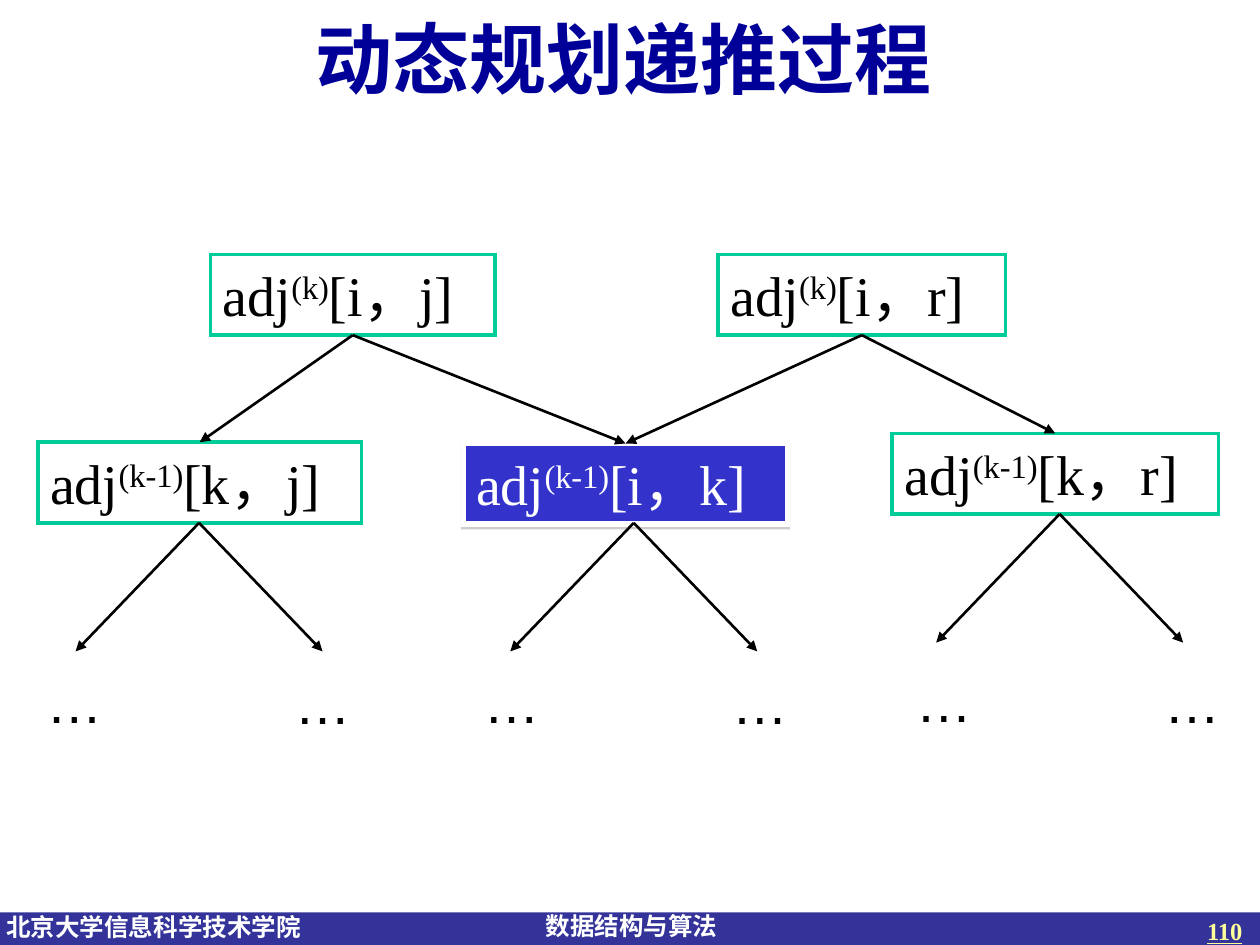
import pptx
import pptx.util
import pptx.dml.color
import pptx.enum.shapes
import pptx.enum.text
import pptx.oxml.ns
from lxml import etree

Inches, Pt = pptx.util.Inches, pptx.util.Pt
RGB = pptx.dml.color.RGBColor
RECT = pptx.enum.shapes.MSO_SHAPE.RECTANGLE
LINE = pptx.enum.shapes.MSO_CONNECTOR.STRAIGHT
ALIGN, ANCHOR = pptx.enum.text.PP_ALIGN, pptx.enum.text.MSO_ANCHOR
FIT = pptx.enum.text.MSO_AUTO_SIZE.SHAPE_TO_FIT_TEXT
qn = pptx.oxml.ns.qn

WHITE, BLACK = RGB(255, 255, 255), RGB(0, 0, 0)
NAVY, BAR = RGB(0, 0, 0x99), RGB(0x33, 0x33, 0x99)
BLUE, GREEN = RGB(0x33, 0x33, 0xCC), RGB(0, 0xCC, 0x99)
YELLOW, GREY = RGB(0xFF, 0xFF, 0x99), RGB(0x80, 0x80, 0x80)
SERIF, SANS, HAN = "Times New Roman", "Arial", "Noto Sans CJK SC"

# Content
TITLE = "动态规划递推过程"
FOOT = [("北京大学信息科学技术学院", 0.05, 7.19, 2.5),
        ("数据结构与算法", 4.33, 7.18, 1.52)]
PAGE = "110"
HIGH = 0.64
# name: left, top, width, superscript, index
BOXES = {
    "ij": (1.67, 2.02, 2.26, "(k)", "[i，j]"),
    "ir": (5.7, 2.02, 2.28, "(k)", "[i，r]"),
    "ik": (3.68, 3.52, 2.57, "(k-1)", "[i，k]"),
    "kj": (0.3, 3.51, 2.57, "(k-1)", "[k，j]"),
    "kr": (7.08, 3.44, 2.59, "(k-1)", "[k，r]"),
}
SHARED = "ik"
EDGES = [("ij", "kj"), ("ij", "ik"), ("ir", "ik"), ("ir", "kr")]
# fork point, left edge and top of the first dots
FORKS = [(1.58, 4.15, 0.27, 5.25), (5.03, 4.15, 3.74, 5.25),
         (8.41, 4.08, 7.17, 5.24)]
REACH, DROP, STEP = 0.98, 1.02, 1.97

deck = pptx.Presentation()
deck.slide_width, deck.slide_height = Inches(10), Inches(7.5)
slide = deck.slides.add_slide(deck.slide_layouts[5])
shapes = slide.shapes


def style(run, size, face, color, bold=False):
    font = run.font
    font.size, font.name, font.bold = Pt(size), face, bold
    font.color.rgb = color


def label(text, left, top, width, high, size, face, color, bold=False):
    box = shapes.add_textbox(*map(Inches, (left, top, width, high)))
    frame = box.text_frame
    frame.text = text
    style(frame.paragraphs[0].runs[0], size, face, color, bold)
    return frame


def arrow(x1, y1, x2, y2):
    line = shapes.add_connector(LINE, *map(Inches, (x1, y1, x2, y2)))
    line.line.color.rgb = BLACK
    line.line.width = Pt(1.5)
    etree.SubElement(line.line._get_or_add_ln(), qn("a:tailEnd"), type="triangle")
    etree.SubElement(line._element.spPr, qn("a:effectLst"))
    return line


def node(name):
    left, top, width, power, index = BOXES[name]
    shared = name == SHARED
    box = shapes.add_shape(RECT, *map(Inches, (left, top, width, HIGH)))
    box.shadow.inherit = False
    box.fill.solid()
    box.fill.fore_color.rgb = BLUE if shared else WHITE
    box.line.color.rgb = WHITE if shared else GREEN
    box.line.width = Pt(3 if shared else 2)
    etree.SubElement(box.line._get_or_add_ln(), qn("a:miter"), lim="800000")
    frame = box.text_frame
    frame.word_wrap, frame.auto_size = False, FIT
    frame.vertical_anchor = ANCHOR.TOP
    para = frame.paragraphs[0]
    para.alignment = ALIGN.LEFT
    for text in ("adj", power, index):
        run = para.add_run()
        run.text = text
        style(run, 32, SERIF, WHITE if shared else BLACK)
    para.runs[1].font._element.set("baseline", "30000")
    return box


def shade(box):
    effects = box._element.spPr.find(qn("a:effectLst"))
    drop = etree.SubElement(effects, qn("a:outerShdw"), blurRad="0",
                            dist=str(Pt(1.6)), dir="5400000", rotWithShape="0")
    tint = etree.SubElement(drop, qn("a:srgbClr"), val=str(GREY))
    etree.SubElement(tint, qn("a:alpha"), val="38000")


# Footer bar
bar = shapes.add_shape(RECT, 0, Inches(7.24), Inches(10), Inches(0.28))
bar.shadow.inherit = False
bar.fill.solid()
bar.fill.fore_color.rgb = BAR
bar.line.fill.background()
for text, left, top, width in FOOT:
    frame = label(text, left, top, width, 0.34, 14, SANS, WHITE, True)
    frame.margin_left = 0
    frame.word_wrap, frame.auto_size = False, FIT
frame = label(PAGE, 7.63, 7.22, 2.33, 0.52, 14, SERIF, YELLOW, True)
frame.word_wrap = True
frame.paragraphs[0].alignment = ALIGN.RIGHT
frame.paragraphs[0].runs[0].font.underline = True

# Title
title = shapes.title
title.left, title.top, title.width, title.height = map(Inches, (0, 0, 10, 0.91))
frame = title.text_frame
frame.text = TITLE
frame.margin_left, frame.margin_right = Inches(0.2), Inches(0.3)
frame.vertical_anchor = ANCHOR.MIDDLE
frame.paragraphs[0].alignment = ALIGN.CENTER
head = frame.paragraphs[0].runs[0]
style(head, 44, HAN, NAVY, True)
etree.SubElement(head.font._element, qn("a:ea"), typeface=HAN)

# Boxes and the arrows between them
nodes = {name: node(name) for name in BOXES}
shade(nodes[SHARED])
for start, end in EDGES:
    line = arrow(0, 0, 1, 1)
    line.begin_connect(nodes[start], 2)
    line.end_connect(nodes[end], 0)

# Forks down to the dots
for x, y, left, top in FORKS:
    for side in (-1, 1):
        arrow(x, y, x + side * REACH, y + DROP)
    for i in range(2):
        frame = label("…", left + i * STEP, top + i * 0.01, HIGH, HIGH,
                      32, SANS, BLACK)
        frame.word_wrap, frame.auto_size = False, FIT

deck.save("out.pptx")
